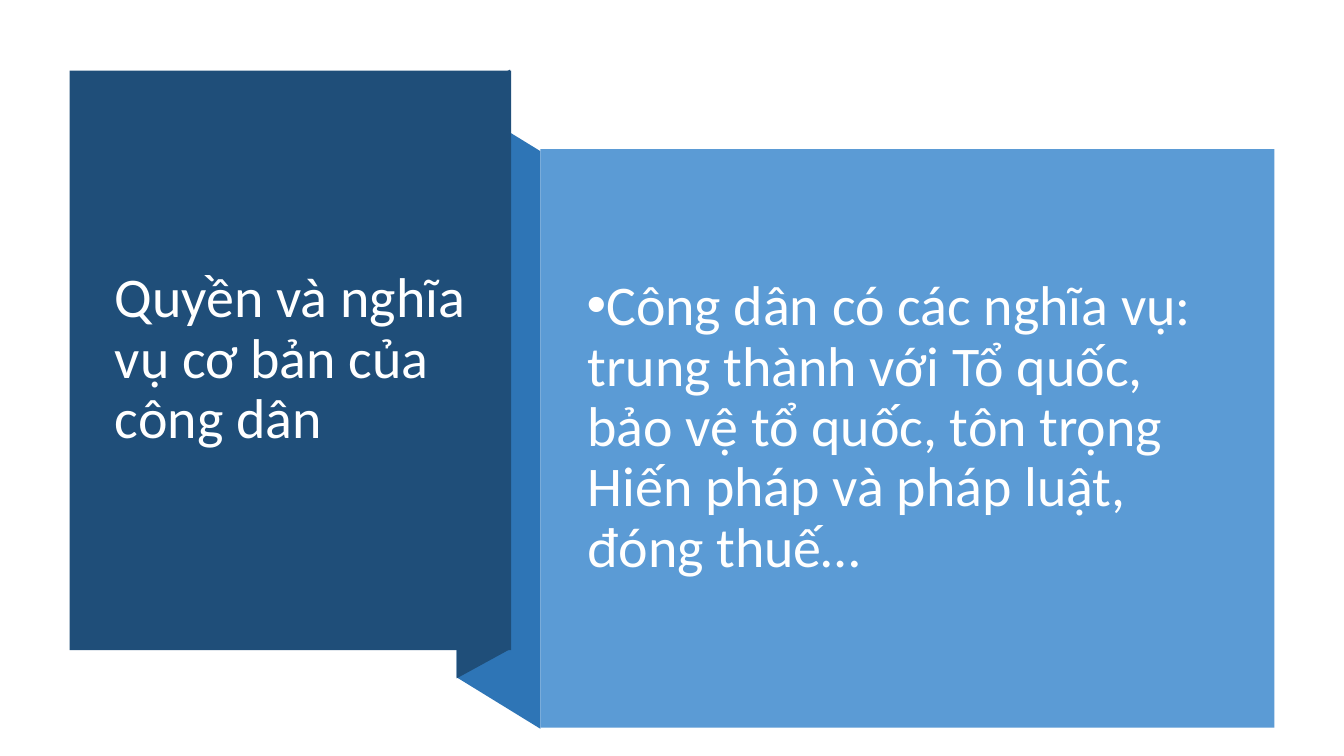
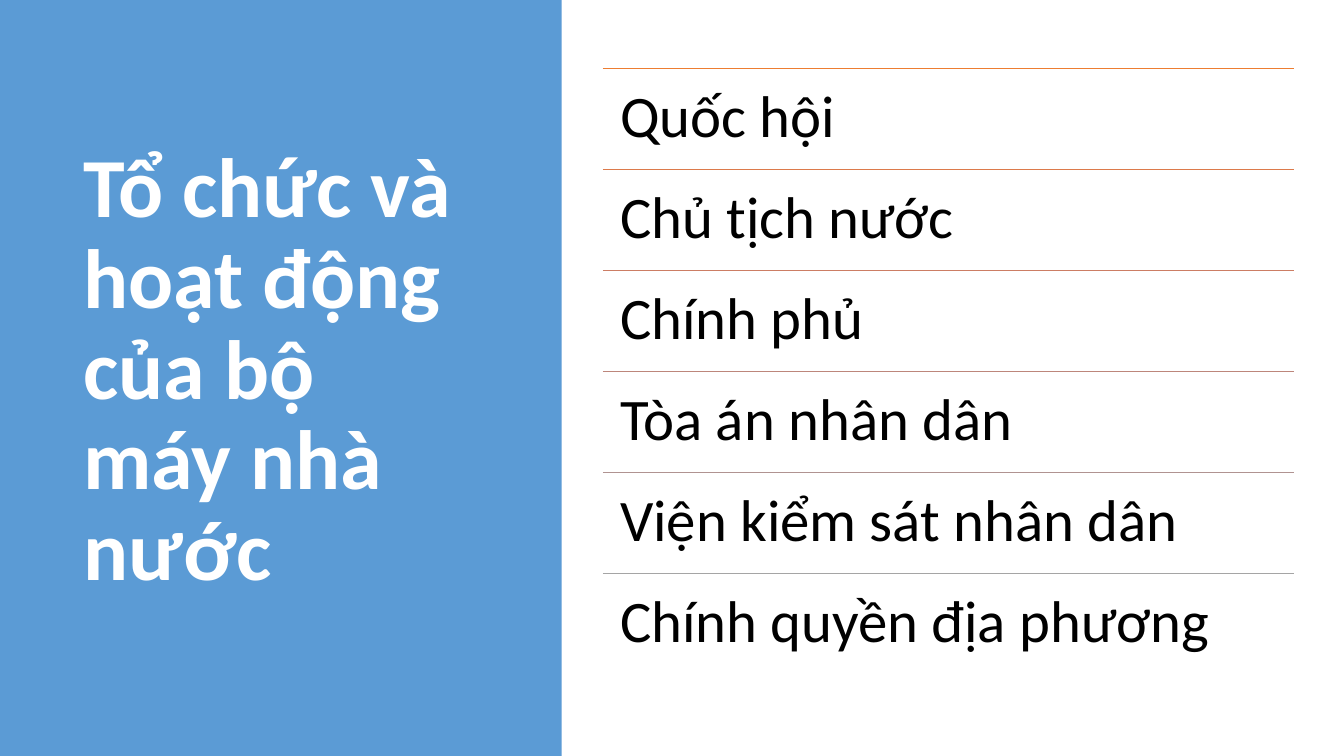
from dataclasses import dataclass

import pptx
import pptx.util
from pptx.dml.color import RGBColor
from pptx.enum.shapes import MSO_CONNECTOR, MSO_SHAPE
from pptx.enum.text import MSO_ANCHOR, MSO_AUTO_SIZE, PP_ALIGN
from pptx.oxml.ns import qn
from pptx.util import Inches, Pt
from lxml import etree


@dataclass(frozen=True)
class Theme:
    font: str = "Calibri"
    bullet_font: str = "Arial"
    white: str = "FFFFFF"
    black: str = "000000"
    blue: str = "5B9BD5"
    mid_blue: str = "2E75B6"
    dark_blue: str = "1F4E79"
    rules: tuple = ("ED7D31", "DC7A4B", "CC7D64", "BD867B", "B09391", "A5A5A5")
    body_size: int = 40
    list_size: int = 42
    heading_size: int = 60
    line_spacing: float = 0.9


def write_text(frame, text, *, theme, size, color, bold=False,
               anchor=MSO_ANCHOR.MIDDLE, insets=(0.1, 0.05), margin=0,
               indent=0, before=0, bullet=None):
    """Fill a text frame with one left-aligned paragraph; lengths in inches."""
    frame.word_wrap = True
    frame.auto_size = MSO_AUTO_SIZE.NONE
    frame.vertical_anchor = anchor
    frame.margin_left = frame.margin_right = Inches(insets[0])
    frame.margin_top = frame.margin_bottom = Inches(insets[1])

    paragraph = frame.paragraphs[0]
    paragraph.alignment = PP_ALIGN.LEFT
    paragraph.line_spacing = theme.line_spacing
    paragraph.space_before = Pt(before)
    properties = paragraph._p.get_or_add_pPr()
    properties.set("marL", str(Inches(margin)))
    properties.set("indent", str(Inches(indent)))
    if bullet:
        etree.SubElement(properties, qn("a:buFont")).set("typeface", theme.bullet_font)
        etree.SubElement(properties, qn("a:buChar")).set("char", bullet)

    run = paragraph.add_run()
    run.text = text
    run.font.name = theme.font
    run.font.size = Pt(size)
    run.font.bold = bold
    run.font.color.rgb = RGBColor.from_string(color)


class Deck:
    """Holds the theme, the presentation and the slide being built."""

    def __init__(self, theme):
        self.theme = theme
        self.presentation = pptx.Presentation()
        self.presentation.slide_width = Inches(13.33)
        self.presentation.slide_height = Inches(7.5)
        self.slide = None

    def new_slide(self):
        layout = self.presentation.slide_layouts.get_by_name("Title Only")
        self.slide = self.presentation.slides.add_slide(layout)

    def title(self, text, box, **style):
        """Format the title placeholder and bring it in front of the panels."""
        heading = self.slide.shapes.title
        heading.left, heading.top, heading.width, heading.height = map(Inches, box)
        write_text(heading.text_frame, text, theme=self.theme,
                   color=self.theme.white, **style)
        heading.element.getparent().append(heading.element)

    def text(self, text, box, **style):
        label = self.slide.shapes.add_textbox(*map(Inches, box))
        write_text(label.text_frame, text, theme=self.theme, **style)

    def paint(self, shape, color):
        shape.shadow.inherit = False
        shape.fill.solid()
        shape.fill.fore_color.rgb = RGBColor.from_string(color)
        shape.line.fill.background()

    def panel(self, box, color):
        panel = self.slide.shapes.add_shape(MSO_SHAPE.RECTANGLE, *map(Inches, box))
        self.paint(panel, color)

    def fold(self, corners, color):
        """Draw a closed polygon through corners given in inches."""
        start, *others = [(Inches(x), Inches(y)) for x, y in corners]
        builder = self.slide.shapes.build_freeform(*start)
        builder.add_line_segments(others, close=True)
        self.paint(builder.convert_to_shape(), color)

    def rule(self, left, right, y, color):
        rule = self.slide.shapes.add_connector(
            MSO_CONNECTOR.STRAIGHT, Inches(left), Inches(y), Inches(right), Inches(y))
        rule.line.color.rgb = RGBColor.from_string(color)
        rule.line.width = Pt(1)
        etree.SubElement(rule.element.spPr, qn("a:effectLst"))


def build_duties(deck):
    theme = deck.theme
    deck.new_slide()
    deck.fold([(5.36, 7.23), (4.53, 6.72), (4.53, 0.99), (5.36, 1.5)], theme.mid_blue)
    deck.fold([(5.06, 6.44), (4.53, 6.73), (4.53, 0.98), (5.06, 0.69)], theme.dark_blue)
    deck.panel((0.69, 0.7, 4.38, 5.75), theme.dark_blue)
    deck.title("Quyền và nghĩa vụ cơ bản của công dân", (1.03, 1.08, 3.71, 4.99),
               size=theme.body_size, margin=0.01)
    deck.panel((5.36, 1.48, 7.28, 5.74), theme.blue)
    deck.text("Công dân có các nghĩa vụ: trung thành với Tổ quốc, bảo vệ tổ quốc, "
              "tôn trọng Hiến pháp và pháp luật, đóng thuế…",
              (5.72, 1.88, 6.51, 4.74), size=theme.body_size, color=theme.white,
              margin=0.01, indent=-0.25, before=7, bullet="•")


def build_state_bodies(deck):
    theme = deck.theme
    deck.new_slide()
    deck.panel((0, 0, 5.57, 7.5), theme.blue)
    deck.title("Tổ chức và hoạt động của bộ máy nhà nước", (0.58, 0.68, 4.16, 6.02),
               size=theme.heading_size, bold=True, margin=0.15)

    bodies = ("Quốc hội", "Chủ tịch nước", "Chính phủ", "Tòa án nhân dân",
              "Viện kiểm sát nhân dân", "Chính quyền địa phương")
    left, top, width, list_height = 5.98, 0.68, 6.85, 6.01
    row_height = list_height / len(bodies)
    for index, (body, color) in enumerate(zip(bodies, theme.rules)):
        y = top + index * row_height
        deck.rule(left, left + width, y, color)
        deck.text(body, (left, y, width, row_height), size=theme.list_size,
                  color=theme.black, anchor=MSO_ANCHOR.TOP, insets=(0.17, 0.18))


def main():
    deck = Deck(Theme())
    build_duties(deck)
    build_state_bodies(deck)
    deck.presentation.save("out.pptx")


if __name__ == "__main__":
    main()
